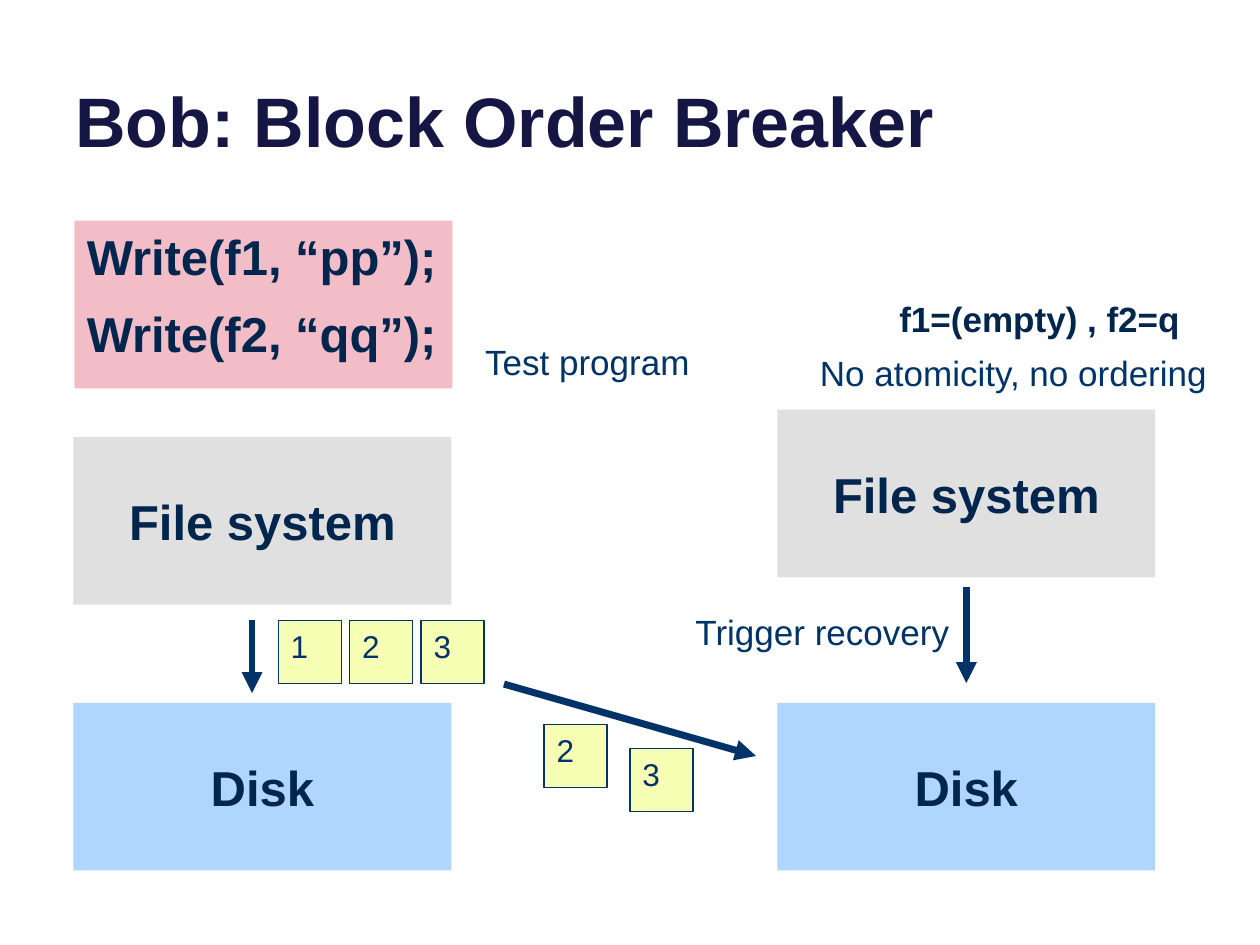
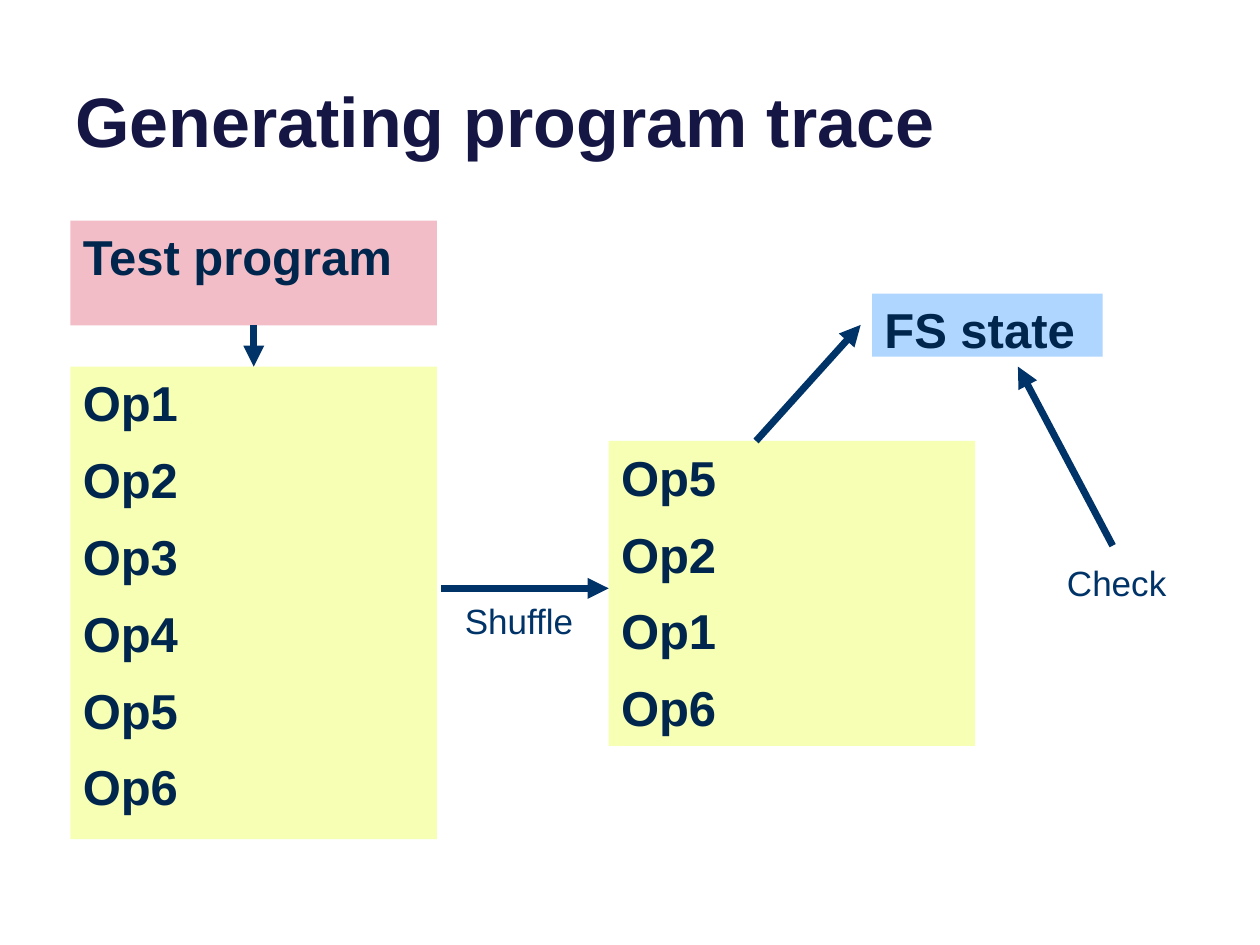
from dataclasses import dataclass

from lxml.etree import SubElement
from pptx import Presentation
from pptx.dml.color import RGBColor
from pptx.enum.shapes import MSO_CONNECTOR, MSO_SHAPE
from pptx.enum.text import MSO_ANCHOR, MSO_AUTO_SIZE, PP_ALIGN
from pptx.oxml.ns import qn
from pptx.util import Cm, Pt


@dataclass(frozen=True)
class Theme:
    font: str = "Arial"
    title_ink: str = "161645"
    bold_ink: str = "00264D"
    ink: str = "003367"
    program: str = "F3BDC7"
    system: str = "E0E0E0"
    disk: str = "AED6FF"
    block: str = "F6FFB3"
    title_size: float = 40
    box_size: float = 28
    label_size: float = 20
    block_size: float = 18
    paragraph_gap: float = 10.3
    arrow_width: float = 4
    outline_width: float = 0.75


THEME = Theme()
TITLE_PLACE = (1.27, -0.94, 22.86, 4.32)
LABEL_HEIGHT = 1.12

LEFT, RIGHT = 1.48, 15.67
STAGE_SIZE = (7.62, 3.38)
DISK_TOP = 14.17
STAGES = [
    (["File system"], THEME.system, LEFT, 8.81),
    (["Disk"], THEME.disk, LEFT, DISK_TOP),
    (["File system"], THEME.system, RIGHT, 8.26),
    (["Disk"], THEME.disk, RIGHT, DISK_TOP),
]
CALLS = ["Write(f1, “pp”);", "Write(f2, “qq”);"]
CALLS_PLACE = (1.5, 4.45, *STAGE_SIZE)
BLOCK_SIDE = 1.27
BLOCK_PITCH = 1.44
ISSUED_BLOCKS = ["1", "2", "3"]
ISSUED_START = (5.61, 12.51)
REACHED_BLOCKS = [("2", 10.97, 14.61), ("3", 12.7, 15.09)]
BREAKER_ARROWS = [
    (5.08, 12.5, 5.08, 13.97),
    (10.16, 13.79, 15.24, 15.24),
    (19.48, 11.84, 19.48, 13.77),
]
BREAKER_LABELS = [
    ("Test program", 9.53, 6.73, 4.67),
    ("Trigger recovery", 13.77, 12.19, 5.66),
    ("No atomicity, no ordering", 16.28, 6.96, 8.38),
]
RESULT = "f1=(empty) , f2=q"
RESULT_PLACE = (17.88, 5.87, 6.78, 1.45)

LIST_WIDTH = 7.39
TRACE_BOXES = {
    "program": (["Test program"], THEME.program, (1.42, 4.45, LIST_WIDTH, 2.11)),
    "trace": ([f"Op{number}" for number in range(1, 7)], THEME.block,
              (1.42, 7.39, LIST_WIDTH, 9.53)),
    "shuffled": (["Op5", "Op2", "Op1", "Op6"], THEME.block,
                 (12.27, 8.89, LIST_WIDTH, 6.15)),
    "state": (["FS state"], THEME.disk, (17.58, 5.92, 4.65, 1.27)),
}
TRACE_ARROWS = [
    (8.89, 11.86, 12.27, 11.86),
    (15.24, 8.89, 17.35, 6.55),
    (22.43, 11, 20.52, 7.39),
]
TRACE_LABELS = [
    ("Shuffle", 9.12, 11.96, 2.72),
    ("Check", 21.26, 11.2, 2.54),
]


def color(value):
    return RGBColor.from_string(value)


def write(box, lines, size=THEME.box_size, ink=THEME.bold_ink, bold=True,
          align=PP_ALIGN.LEFT, anchor=MSO_ANCHOR.TOP, wrap=True):
    frame = box.text_frame
    frame.word_wrap = wrap
    frame.vertical_anchor = anchor
    for index, line in enumerate(lines):
        para = frame.add_paragraph() if index else frame.paragraphs[0]
        para.alignment = align
        if index:
            para.space_before = Pt(THEME.paragraph_gap)
        span = para.add_run()
        span.text = line
        span.font.name = THEME.font
        span.font.size = Pt(size)
        span.font.bold = bold
        span.font.color.rgb = color(ink)


def add_text(page, lines, place, **text_format):
    box = page.shapes.add_textbox(*map(Cm, place))
    write(box, lines, **text_format)
    return box


def add_box(page, lines, fill, place, outlined=False, **text_format):
    box = page.shapes.add_shape(MSO_SHAPE.RECTANGLE, *map(Cm, place))
    box.shadow.inherit = False
    box.fill.solid()
    box.fill.fore_color.rgb = color(fill)
    if outlined:
        box.line.color.rgb = color(THEME.ink)
        box.line.width = Pt(THEME.outline_width)
    else:
        box.line.fill.background()
    write(box, lines, **text_format)
    return box


def add_block(page, number, left, top):
    add_box(page, [number], THEME.block, (left, top, BLOCK_SIDE, BLOCK_SIDE),
            outlined=True, size=THEME.block_size, ink=THEME.ink, bold=False)


def add_labels(page, labels):
    for text, left, top, width in labels:
        box = add_text(page, [text], (left, top, width, LABEL_HEIGHT),
                       size=THEME.label_size, ink=THEME.ink, bold=False, wrap=False)
        box.text_frame.auto_size = MSO_AUTO_SIZE.SHAPE_TO_FIT_TEXT


def add_arrow(page, ends):
    arrow = page.shapes.add_connector(MSO_CONNECTOR.STRAIGHT, *map(Cm, ends))
    arrow.line.color.rgb = color(THEME.ink)
    arrow.line.width = Pt(THEME.arrow_width)
    properties = arrow._element.spPr
    SubElement(properties.find(qn("a:ln")), qn("a:tailEnd"), type="triangle")
    SubElement(properties, qn("a:effectLst"))
    return arrow


def add_page(deck, title):
    page = deck.slides.add_slide(deck.slide_layouts[6])
    add_text(page, [title], TITLE_PLACE, size=THEME.title_size,
             ink=THEME.title_ink, anchor=MSO_ANCHOR.BOTTOM)
    return page


def build_breaker(deck):
    page = add_page(deck, "Bob: Block Order Breaker")
    add_box(page, CALLS, THEME.program, CALLS_PLACE)
    for lines, fill, left, top in STAGES:
        add_box(page, lines, fill, (left, top, *STAGE_SIZE),
                align=PP_ALIGN.CENTER, anchor=MSO_ANCHOR.MIDDLE)
    left, top = ISSUED_START
    for index, number in enumerate(ISSUED_BLOCKS):
        add_block(page, number, left + index * BLOCK_PITCH, top)
    for ends in BREAKER_ARROWS:
        add_arrow(page, ends)
    for number, left, top in REACHED_BLOCKS:
        add_block(page, number, left, top)
    add_text(page, [RESULT], RESULT_PLACE, size=THEME.label_size)
    add_labels(page, BREAKER_LABELS)


def build_trace(deck):
    page = add_page(deck, "Generating program trace")
    boxes = {name: add_box(page, *parts) for name, parts in TRACE_BOXES.items()}
    for ends in TRACE_ARROWS:
        add_arrow(page, ends)
    recording = add_arrow(page, (0, 0, 0, 0))
    recording.begin_connect(boxes["program"], 2)
    recording.end_connect(boxes["trace"], 0)
    add_labels(page, TRACE_LABELS)


def main():
    deck = Presentation()
    deck.slide_width, deck.slide_height = Cm(25.4), Cm(19.05)
    build_breaker(deck)
    build_trace(deck)
    deck.save("out.pptx")


if __name__ == "__main__":
    main()
